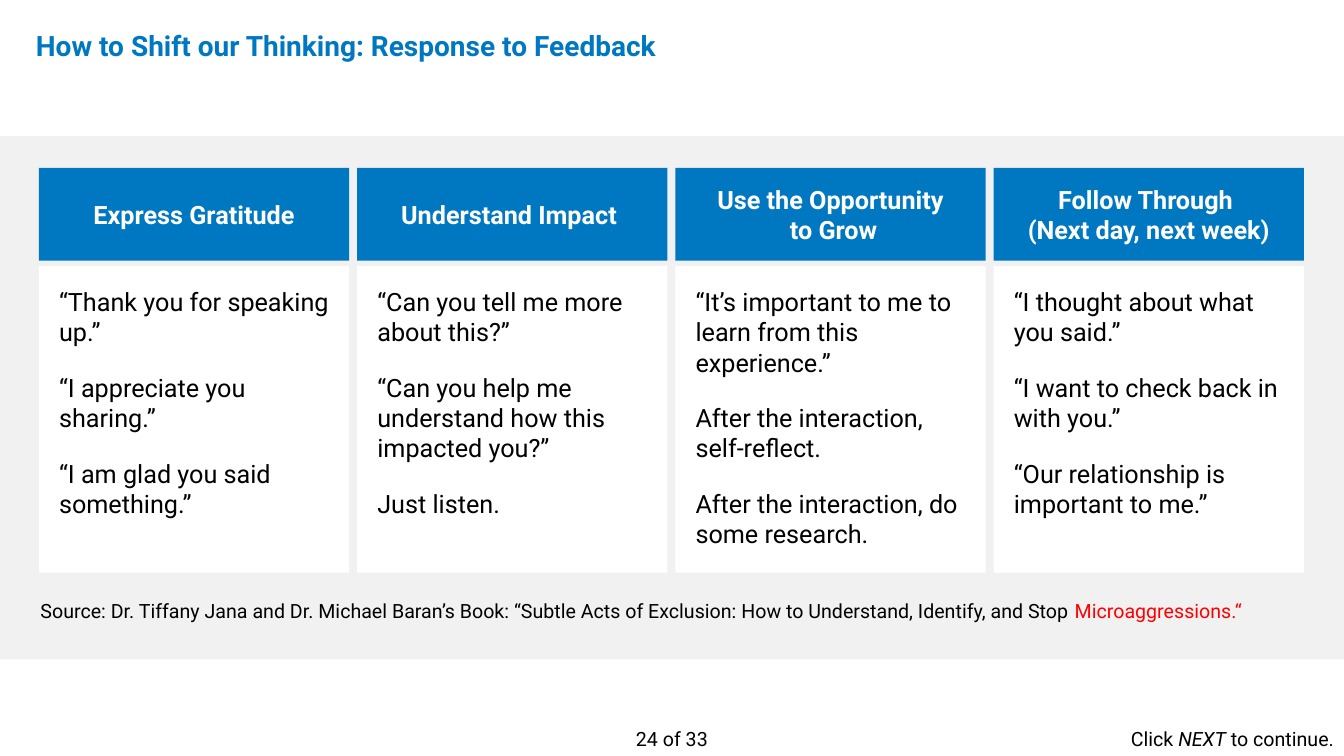
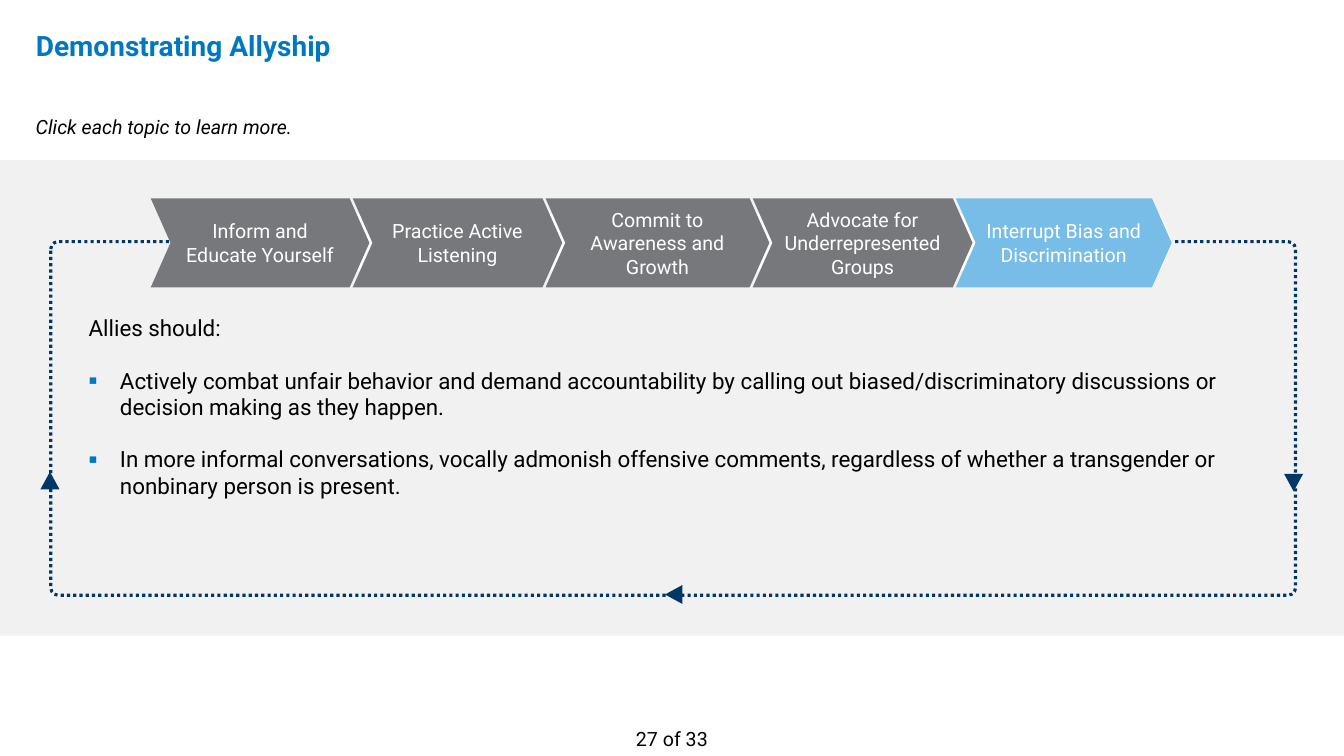
from lxml import etree
from pptx import Presentation
from pptx.dml.color import RGBColor
from pptx.enum.dml import MSO_LINE
from pptx.enum.shapes import MSO_SHAPE
from pptx.enum.text import MSO_ANCHOR, MSO_AUTO_SIZE, PP_ALIGN
from pptx.oxml.ns import qn
from pptx.util import Cm, Pt

BLUE = RGBColor(0x00, 0x78, 0xC1)
NAVY = RGBColor(0x00, 0x37, 0x67)
SKY = RGBColor(0x78, 0xBD, 0xE8)
GREY = RGBColor(0x77, 0x78, 0x7B)
PALE = RGBColor(0xF1, 0xF1, 0xF2)
WHITE = RGBColor(0xFF, 0xFF, 0xFF)
BLACK = RGBColor(0x00, 0x00, 0x00)
RED = RGBColor(0xFF, 0x00, 0x00)

LEFT, CENTER, RIGHT = PP_ALIGN.LEFT, PP_ALIGN.CENTER, PP_ALIGN.RIGHT
TOP, MIDDLE = MSO_ANCHOR.TOP, MSO_ANCHOR.MIDDLE
FIXED = MSO_AUTO_SIZE.NONE
DOTTED = MSO_LINE.ROUND_DOT
RECTANGLE, ROUNDED = MSO_SHAPE.RECTANGLE, MSO_SHAPE.ROUNDED_RECTANGLE
TRIANGLE, CHEVRON = MSO_SHAPE.ISOSCELES_TRIANGLE, MSO_SHAPE.CHEVRON

FONT = "Roboto"
SLIDE_WIDTH, SLIDE_HEIGHT = 33.87, 19.05
TITLE_ONLY, TITLE_AND_BODY = 5, 1
FOOTER_TOP, FOOTER_WIDTH, LINE_HEIGHT = 18.19, 6.77, 0.86

RESPONSES = [
    (["Express Gratitude"],
     ["“Thank you for speaking up.”",
      "“I appreciate you sharing.”",
      "“I am glad you said something.”"]),
    (["Understand Impact "],
     ["“Can you tell me more about this?”",
      "“Can you help me understand how this impacted you?”",
      "Just listen."]),
    (["Use the Opportunity", " to Grow"],
     ["“It’s important to me to learn from this experience.”",
      "After the interaction, self-reflect.",
      "After the interaction, do some research."]),
    (["Follow Through ", "(Next day, next week)"],
     ["“I thought about what you said.”",
      "“I want to check back in with you.”",
      "“Our relationship is important to me.”"]),
]

TOPICS = [
    ("Inform and Educate Yourself", 5.51, GREY),
    ("Practice Active Listening", 5.28, GREY),
    ("Commit to Awareness and Growth", 5.64, GREY),
    ("Advocate for Underrepresented Groups", 5.54, GREY),
    ("Interrupt Bias and Discrimination", 5.44, SKY),
]

ARROWHEADS = [
    (32.36, 11.94, 180),
    (16.74, 14.76, 270),
    (1.02, 11.89, 0),
]


def set_bullet(para, symbol, color=BLUE, indent=0.79):
    properties = para._p.get_or_add_pPr()
    distance = Cm(indent) if symbol else 0
    properties.set("marL", str(distance))
    properties.set("indent", str(-distance))
    if not symbol:
        etree.SubElement(properties, qn("a:buNone"))
        return
    bullet_color = etree.SubElement(properties, qn("a:buClr"))
    etree.SubElement(bullet_color, qn("a:srgbClr")).set("val", str(color))
    etree.SubElement(properties, qn("a:buFont")).set("typeface", FONT)
    etree.SubElement(properties, qn("a:buChar")).set("char", symbol)


def write(frame, paragraphs, size=14, color=BLACK, bold=False, italic=False,
          align=LEFT, anchor=TOP, before=0, after=0, spacing=1.0,
          margins=None, bullets=None):
    frame.word_wrap = True
    frame.auto_size = FIXED
    frame.vertical_anchor = anchor
    if margins:
        (frame.margin_left, frame.margin_top,
         frame.margin_right, frame.margin_bottom) = map(Cm, margins)
    for index, content in enumerate(paragraphs):
        para = frame.add_paragraph() if index else frame.paragraphs[0]
        if bullets:
            set_bullet(para, bullets[index])
        para.alignment = align
        para.line_spacing = spacing
        para.space_before = Pt(before if index else 0)
        para.space_after = Pt(after)
        spans = [(content, {})] if isinstance(content, str) else content
        for text, changes in spans:
            span = para.add_run()
            span.text = text
            span.font.name = FONT
            span.font.size = Pt(size)
            span.font.bold = bold
            span.font.italic = changes.get("italic", italic)
            span.font.color.rgb = changes.get("color", color)


class Course:
    def __init__(self):
        self.deck = Presentation()
        self.deck.slide_width = Cm(SLIDE_WIDTH)
        self.deck.slide_height = Cm(SLIDE_HEIGHT)
        self.page = None

    def start_page(self, layout, title, number):
        self.page = self.deck.slides.add_slide(self.deck.slide_layouts[layout])
        self.fill_placeholder(0, (0.65, 0.51, 29.21, 1.37), [title], size=20,
                              color=BLUE, bold=True, anchor=MIDDLE, spacing=0.9)
        self.text((SLIDE_WIDTH - FOOTER_WIDTH) / 2, FOOTER_TOP, FOOTER_WIDTH,
                  [f"{number} of 33"], align=CENTER)

    def fill_placeholder(self, index, area, paragraphs, **style):
        holder = self.page.placeholders[index]
        holder.left, holder.top, holder.width, holder.height = map(Cm, area)
        write(holder.text_frame, paragraphs, **style)

    def text(self, left, top, width, paragraphs, **style):
        box = self.page.shapes.add_textbox(
            Cm(left), Cm(top), Cm(width), Cm(LINE_HEIGHT))
        write(box.text_frame, paragraphs, **style)

    def shape(self, kind, left, top, width, height, fill=None, line=None,
              weight=1, dash=None, adjust=None, rotation=0, paragraphs=(), **style):
        box = self.page.shapes.add_shape(
            kind, Cm(left), Cm(top), Cm(width), Cm(height))
        box.shadow.inherit = False
        box.rotation = rotation
        if adjust is not None:
            box.adjustments[0] = adjust
        if fill is None:
            box.fill.background()
        else:
            box.fill.solid()
            box.fill.fore_color.rgb = fill
        if line is None:
            box.line.fill.background()
        else:
            box.line.color.rgb = line
            box.line.width = Pt(weight)
            box.line.dash_style = dash
        if paragraphs:
            write(box.text_frame, paragraphs, **style)
        return box

    def band(self, top, height):
        box = self.shape(RECTANGLE, 0, top, SLIDE_WIDTH, height, fill=PALE)
        rearmost = self.page.shapes[0]
        rearmost._element.addprevious(box._element)


def add_feedback_page(course):
    course.start_page(TITLE_ONLY, "How to Shift our Thinking: Response to Feedback", 24)
    course.band(3.43, 13.19)
    first_left, step, width = 0.98, 8.02, 7.82
    for column, (heading, phrases) in enumerate(RESPONSES):
        left = first_left + column * step
        course.shape(RECTANGLE, left, 4.23, width, 2.34, fill=BLUE,
                     paragraphs=heading, size=18, color=WHITE, bold=True,
                     align=CENTER, anchor=MIDDLE)
        course.shape(RECTANGLE, left, 6.71, width, 7.72, fill=WHITE,
                     paragraphs=phrases, size=18, before=12, after=6,
                     margins=(0.51, 0.51, 0.51, 0.13))
    course.text(0.77, 14.97, 32, [[
        ("Source: Dr. Tiffany Jana and Dr. Michael Baran’s Book: “Subtle Acts of "
         "Exclusion: How to Understand, Identify, and Stop ", {}),
        ("Microaggressions.“", {"color": RED}),
    ]])
    course.text(SLIDE_WIDTH - FOOTER_WIDTH, FOOTER_TOP, FOOTER_WIDTH, [[
        ("Click ", {}), ("NEXT", {"italic": True}), (" to continue.", {}),
    ]], align=RIGHT)


def add_allyship_page(course):
    course.start_page(TITLE_AND_BODY, "Demonstrating Allyship", 27)
    course.band(4.03, 11.99)
    course.shape(ROUNDED, 1.28, 6.09, 31.37, 8.91, line=NAVY, weight=2.25,
                 dash=DOTTED, adjust=0.021)
    for left, top, rotation in ARROWHEADS:
        course.shape(TRIANGLE, left, top, 0.48, 0.44, fill=NAVY, rotation=rotation)
    course.shape(CHEVRON, 5.28, 5.41, 24.26, 1.4, fill=WHITE, line=WHITE, adjust=0.222)
    left, overlap = 3.8, 0.42
    for topic, width, color in TOPICS:
        course.shape(CHEVRON, left, 5, width, 2.24, fill=color, adjust=0.222,
                     paragraphs=[topic], color=WHITE, align=CENTER, anchor=MIDDLE,
                     margins=(0.2, 0.13, 0.2, 0.13))
        left += width - overlap
    course.fill_placeholder(1, (1.98, 7.8, 29.77, 4.95), [
        "Allies should:",
        "Actively combat unfair behavior and demand accountability by calling out "
        "biased/discriminatory discussions or decision making as they happen.",
        "In more informal conversations, vocally admonish offensive comments, "
        "regardless of whether a transgender or nonbinary person is present.",
    ], size=16, after=18, bullets=[None, "▪", "▪"])
    course.text(0.65, 2.77, 8.05, ["Click each topic to learn more."], italic=True)


def main():
    course = Course()
    add_feedback_page(course)
    add_allyship_page(course)
    course.deck.save("out.pptx")


if __name__ == "__main__":
    main()
